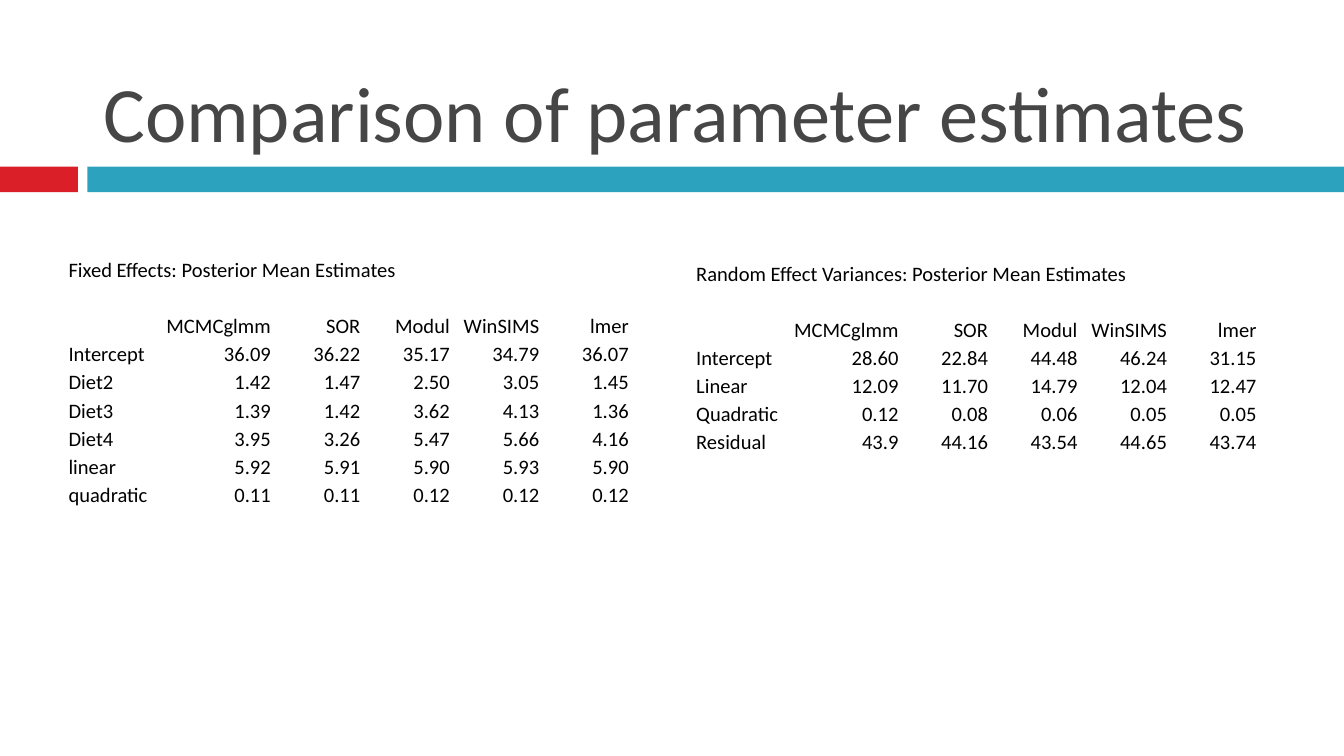
from dataclasses import dataclass

from pptx import Presentation
from pptx.dml.color import RGBColor
from pptx.enum.shapes import MSO_SHAPE
from pptx.enum.text import MSO_ANCHOR, PP_ALIGN
from pptx.util import Inches, Pt


@dataclass(frozen=True)
class Theme:
    font: str = "Calibri"
    title_size: int = 42
    table_size: int = 11
    title_color: str = "464646"
    text_color: str = "000000"
    accent: str = "DA1F28"
    band: str = "2DA2BF"
    plain_table_style: str = "{2D5ABB26-0587-4C30-8999-92F81FD0307C}"


TABLE_WIDTH = 4.19
WIDE_COLUMN = 0.86
NARROW_COLUMN = (TABLE_WIDTH - WIDE_COLUMN) / 5
COLUMN_WIDTHS = [NARROW_COLUMN, WIDE_COLUMN] + [NARROW_COLUMN] * 4
PROGRAMS = ["", "MCMCglmm", "SOR", "Modul", "WinSIMS", "lmer"]

FIXED_EFFECTS = [
    ["Intercept", "36.09", "36.22", "35.17", "34.79", "36.07"],
    ["Diet2", "1.42", "1.47", "2.50", "3.05", "1.45"],
    ["Diet3", "1.39", "1.42", "3.62", "4.13", "1.36"],
    ["Diet4", "3.95", "3.26", "5.47", "5.66", "4.16"],
    ["linear", "5.92", "5.91", "5.90", "5.93", "5.90"],
    ["quadratic", "0.11", "0.11", "0.12", "0.12", "0.12"],
]
RANDOM_VARIANCES = [
    ["Intercept", "28.60", "22.84", "44.48", "46.24", "31.15"],
    ["Linear", "12.09", "11.70", "14.79", "12.04", "12.47"],
    ["Quadratic", "0.12", "0.08", "0.06", "0.05", "0.05"],
    ["Residual", "43.9", "44.16", "43.54", "44.65", "43.74"],
]


class SlideBuilder:
    def __init__(self, slide, theme):
        self.slide = slide
        self.theme = theme

    def format_runs(self, paragraph, size, color):
        for run in paragraph.runs:
            run.font.name = self.theme.font
            run.font.size = Pt(size)
            run.font.color.rgb = RGBColor.from_string(color)

    def bar(self, left, top, width, height, color):
        shape = self.slide.shapes.add_shape(
            MSO_SHAPE.RECTANGLE,
            Inches(left), Inches(top), Inches(width), Inches(height))
        shape.shadow.inherit = False
        shape.fill.solid()
        shape.fill.fore_color.rgb = RGBColor.from_string(color)
        shape.line.fill.background()

    def title(self, text, left, top, width, height):
        box = self.slide.shapes.add_textbox(
            Inches(left), Inches(top), Inches(width), Inches(height))
        frame = box.text_frame
        frame.word_wrap = True
        frame.vertical_anchor = MSO_ANCHOR.BOTTOM
        frame.text = text
        self.format_runs(frame.paragraphs[0], self.theme.title_size,
                         self.theme.title_color)

    def cell(self, cell, text, alignment):
        cell.fill.background()
        cell.vertical_anchor = MSO_ANCHOR.BOTTOM
        cell.margin_left = cell.margin_right = cell.margin_top = Inches(0.01)
        cell.margin_bottom = 0
        paragraph = cell.text_frame.paragraphs[0]
        paragraph.text = text
        paragraph.alignment = alignment
        self.format_runs(paragraph, self.theme.table_size, self.theme.text_color)
        if not text:
            # An empty cell takes its line height from the end-of-paragraph size.
            end = paragraph._p.get_or_add_endParaRPr()
            end.set("sz", str(self.theme.table_size * 100))

    def estimates_table(self, left, top, height, caption, caption_span, estimates):
        """Place a caption row, an empty row, the program names and the estimates."""
        blank_row = [""] * len(PROGRAMS)
        rows = [[caption] + blank_row[1:], blank_row, PROGRAMS] + estimates
        frame = self.slide.shapes.add_table(
            len(rows), len(PROGRAMS), Inches(left), Inches(top),
            Inches(TABLE_WIDTH), Inches(height))
        table = frame.table
        table.first_row = table.horz_banding = False
        table._tbl.tblPr.find("{*}tableStyleId").text = self.theme.plain_table_style
        for column, width in zip(table.columns, COLUMN_WIDTHS):
            column.width = Inches(width)
        for row_index, row in enumerate(rows):
            for column_index, text in enumerate(row):
                alignment = PP_ALIGN.RIGHT if column_index else PP_ALIGN.LEFT
                self.cell(table.cell(row_index, column_index), text, alignment)
        table.cell(0, 0).merge(table.cell(0, caption_span - 1))


def main():
    presentation = Presentation()
    presentation.slide_width = Inches(10)
    presentation.slide_height = presentation.slide_width * 9 // 16
    theme = Theme()
    builder = SlideBuilder(
        presentation.slides.add_slide(presentation.slide_layouts[6]), theme)

    builder.bar(0, 1.24, 0.58, 0.19, theme.accent)
    builder.bar(0.65, 1.24, 9.35, 0.19, theme.band)
    builder.title("Comparison of parameter estimates", 0.67, 0.13, 8.92, 1.1)
    builder.estimates_table(
        5.17, 1.93, 1.46, "Random Effect Variances: Posterior Mean Estimates", 5,
        RANDOM_VARIANCES)
    builder.estimates_table(
        0.5, 1.9, 1.88, "Fixed Effects: Posterior Mean Estimates", 4,
        FIXED_EFFECTS)

    presentation.save("out.pptx")


if __name__ == "__main__":
    main()
